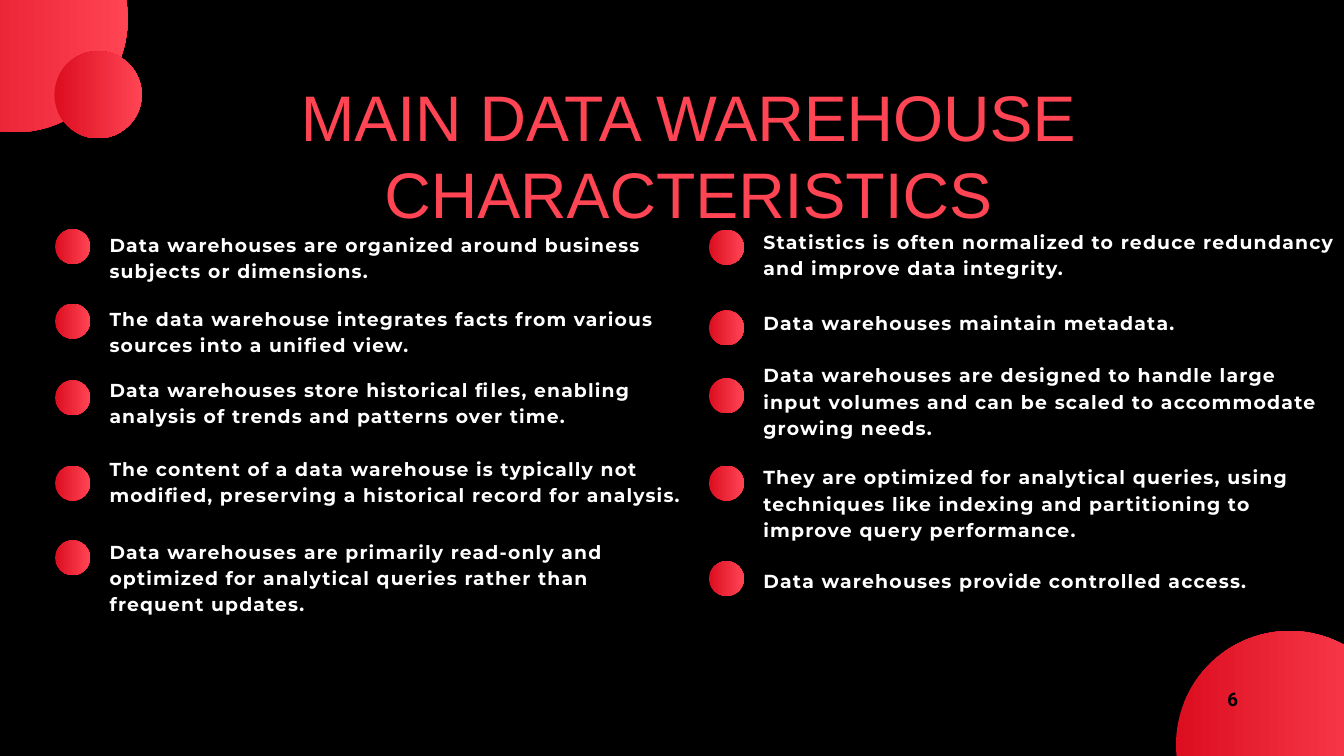
from pptx import Presentation
from pptx.dml.color import RGBColor
from pptx.enum.shapes import MSO_SHAPE
from pptx.enum.text import MSO_ANCHOR, MSO_AUTO_SIZE, PP_ALIGN
from pptx.util import Inches, Pt

DARK, RED, WHITE, BLACK = "DC0E20", "FF4454", "FFFFFF", "000000"

LEFT = [
    (0.05, 0.06, 3, 0, "Data warehouses are organized around business subjects or dimensions."),
    (1.16, 1.16, 3, 0, "The data warehouse integrates facts from various sources into a unified view."),
    (2.30, 2.22, 3, 0, "Data warehouses store historical files, enabling analysis of trends and patterns over time."),
    (3.57, 3.39, 3, 0, "The content of a data warehouse is typically not modified, preserving a historical record for analysis."),
    (4.68, 4.63, 4, 0, "Data warehouses are primarily read-only and optimized for analytical queries rather than frequent updates."),
]
RIGHT = [
    (0.06, 0.01, 3, 0, "Statistics is often normalized to reduce redundancy and improve data integrity."),
    (1.26, 1.22, 1, 0, "Data warehouses maintain metadata."),
    (2.27, 2.00, 4, 0.14, "Data warehouses are designed to handle large input volumes and can be scaled to accommodate growing needs."),
    (3.57, 3.52, 4, 0, "They are optimized for analytical queries, using techniques like indexing and partitioning to improve query performance."),
    (4.99, 5.06, 1, 0, "Data warehouses provide controlled access."),
]


def color(code):
    return RGBColor.from_string(code)


def place(shape, box):
    shape.left, shape.top, shape.width, shape.height = map(Inches, box)


def write(shape, text, font="Montserrat", size=20, tint=WHITE, bold=True,
          line=28, align=PP_ALIGN.LEFT, track=0, wrap=True):
    frame = shape.text_frame
    frame.margin_left = frame.margin_right = 0
    frame.margin_top = frame.margin_bottom = 0
    frame.word_wrap = wrap
    frame.auto_size = MSO_AUTO_SIZE.SHAPE_TO_FIT_TEXT
    frame.vertical_anchor = MSO_ANCHOR.TOP
    para = frame.paragraphs[0]
    para.alignment = align
    para.line_spacing = Pt(line)
    run = para.add_run()
    run.text = text
    run.font.name = font
    run.font.size = Pt(size)
    run.font.bold = bold
    run.font.color.rgb = color(tint)
    if track:
        run.font._element.set("spc", str(round(track * 100)))


def label(slide, box, text, **style):
    shape = slide.shapes.add_textbox(*map(Inches, box))
    write(shape, text, **style)


def disc(slide, left, top, size):
    shape = slide.shapes.add_shape(
        MSO_SHAPE.OVAL, *map(Inches, (left, top, size, size)))
    shape.shadow.inherit = False
    shape.line.fill.background()
    shape.fill.gradient()
    shape.fill.gradient_angle = 0
    for stop, code in zip(shape.fill.gradient_stops, (DARK, RED)):
        stop.color.rgb = color(code)


def corner(slide, box):
    left, top, width, height = box
    disc(slide, left, top, 3.38)
    disc(slide, left + 2.29, top + 2.17, 1.3)


def header(slide, box):
    title = slide.shapes.title
    place(title, box)
    write(title, "MAIN DATA WAREHOUSE CHARACTERISTICS", font="Arial", size=69,
          tint=RED, bold=False, line=82.8, align=PP_ALIGN.CENTER)


def column(slide, box, items, size, line):
    left, top, width, height = box
    inset = 0.81
    for dot, drop, rows, trim, text in items:
        disc(slide, left, top + dot, 0.52)
        area = (left + inset, top + drop, width - inset - trim, rows * 0.38)
        label(slide, area, text, size=size, line=line, track=1.3)


def footer(slide, box):
    left, top, width, height = box
    disc(slide, left, top, width)
    label(slide, (left + 0.76, top + 0.79, 0.17, 0.22), "6", font="Roboto",
          tint=BLACK, align=PP_ALIGN.CENTER, wrap=False)


def main():
    deck = Presentation()
    deck.slide_width, deck.slide_height = Inches(20), Inches(11.25)
    slide = deck.slides.add_slide(deck.slide_layouts[5])
    slide.background.fill.solid()
    slide.background.fill.fore_color.rgb = color(BLACK)
    corner(slide, (-1.48, -1.41, 3.59, 3.47))
    header(slide, (2.4, 1.15, 15.69, 1.15))
    column(slide, (0.82, 3.36, 9.41, 6.15), LEFT, 20.1, 28.1)
    column(slide, (10.55, 3.36, 9.45, 5.52), RIGHT, 20.2, 28.3)
    footer(slide, (17.5, 9.39, 3.38, 3.38))
    deck.save("out.pptx")


if __name__ == "__main__":
    main()
